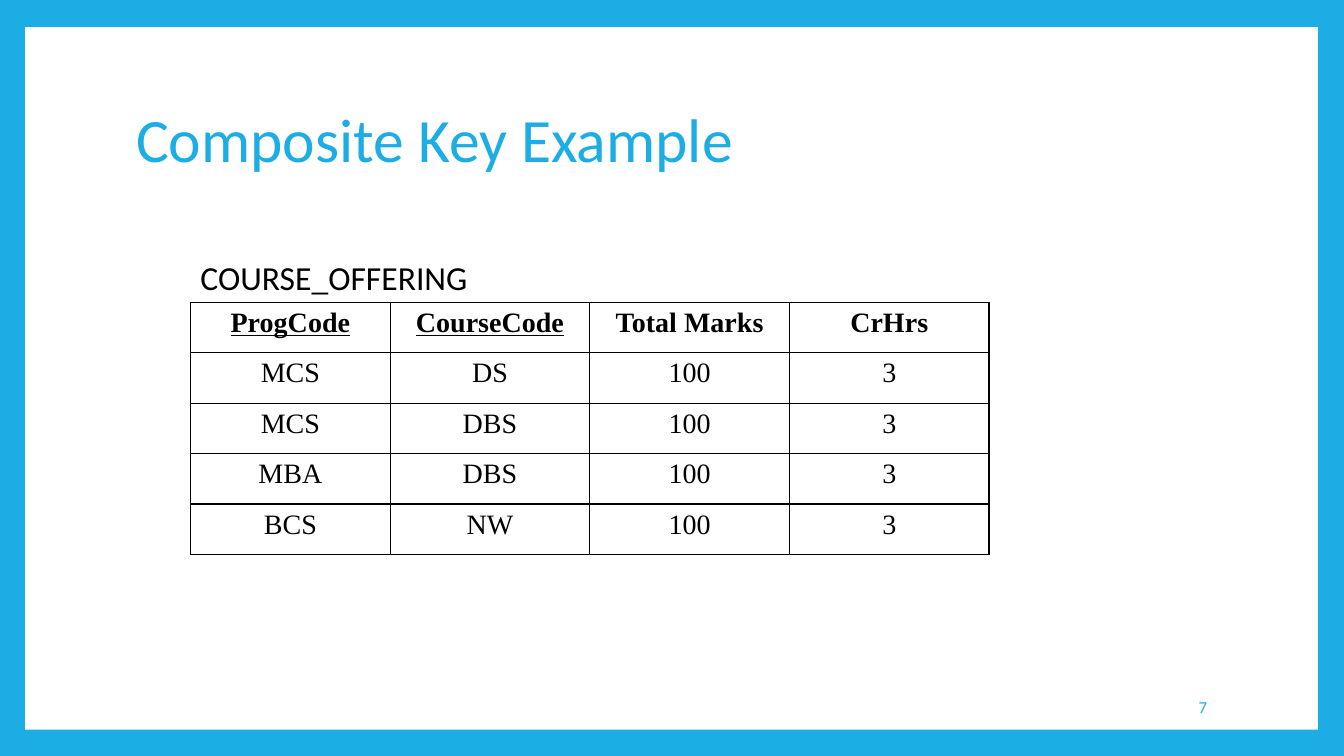
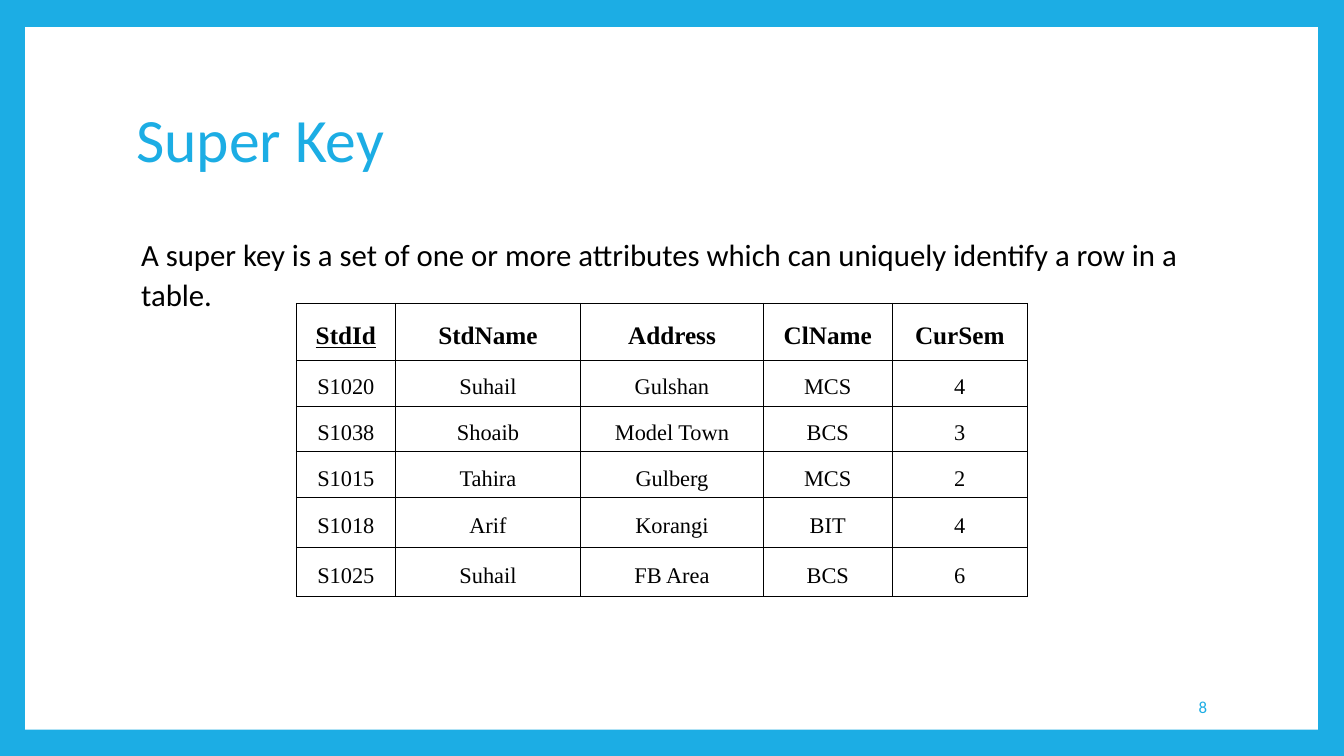
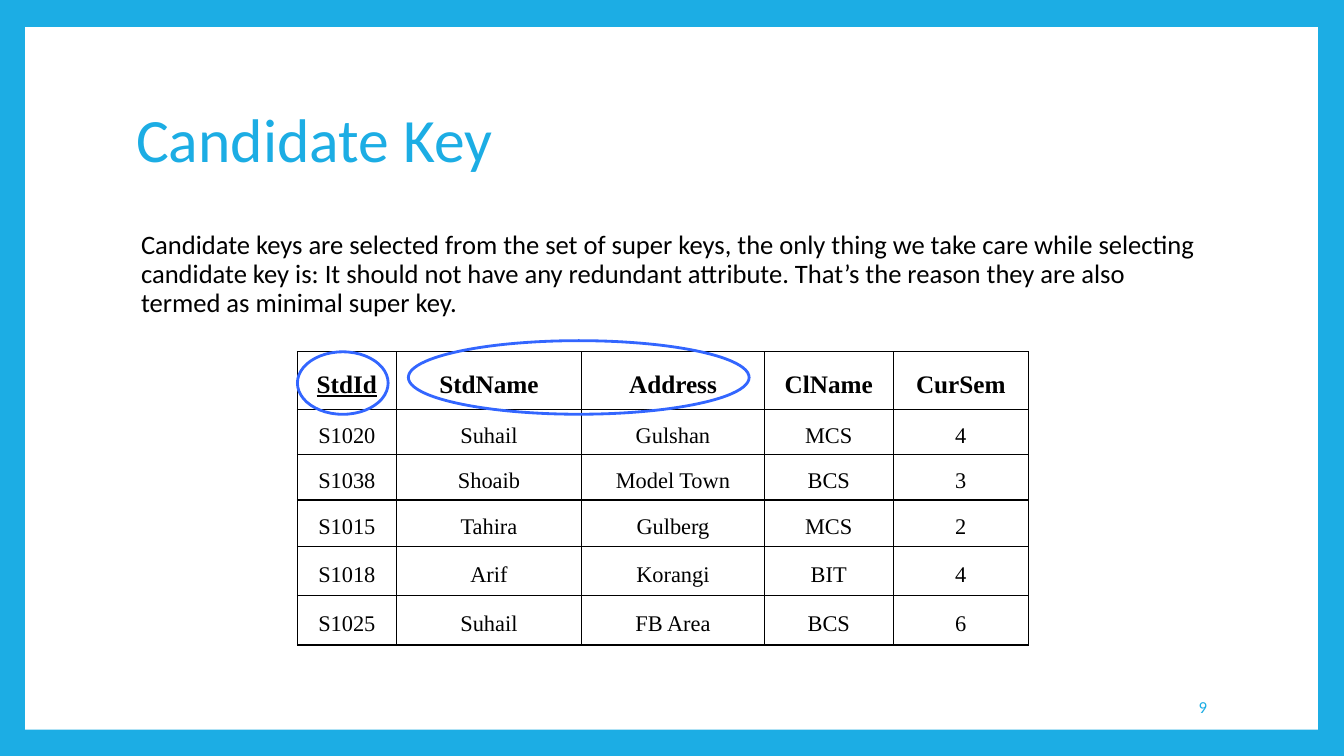
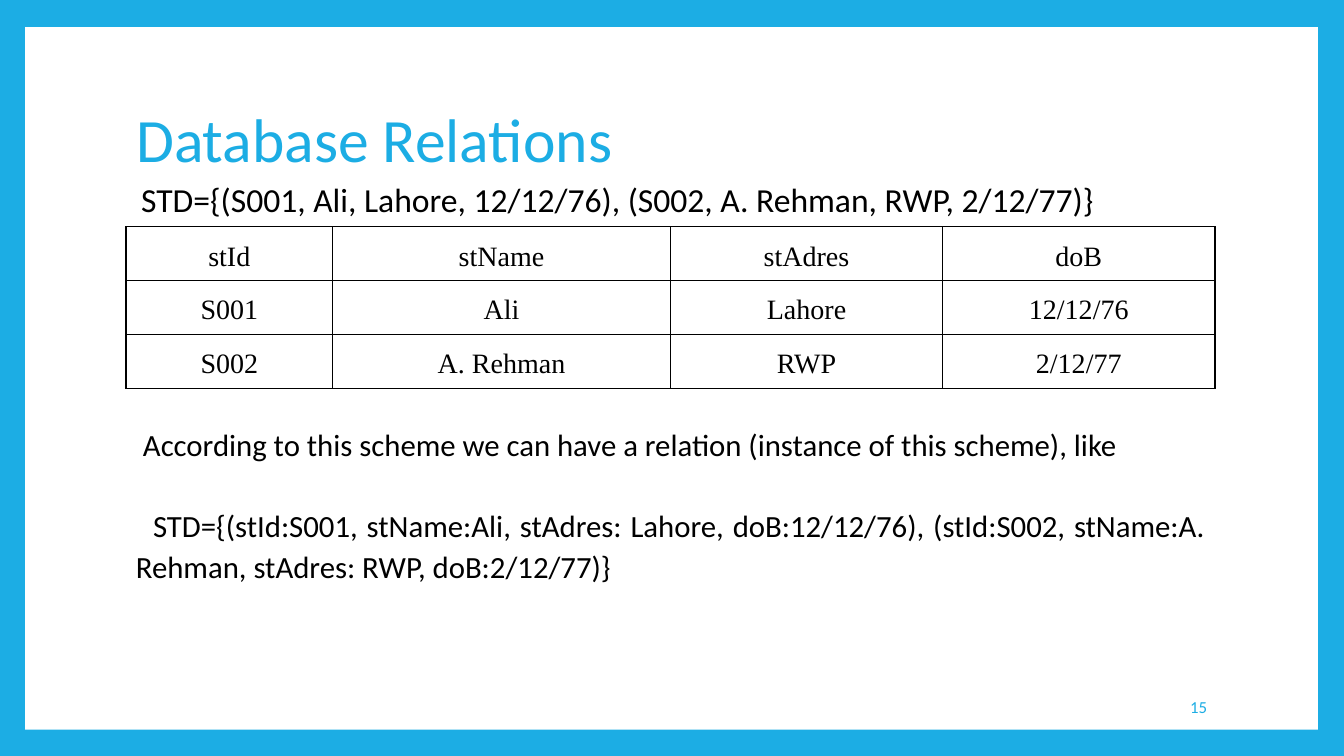
from lxml import etree
from pptx import Presentation
from pptx.dml.color import RGBColor
from pptx.enum.shapes import MSO_SHAPE
from pptx.enum.text import MSO_ANCHOR, MSO_AUTO_SIZE, PP_ALIGN
from pptx.oxml.ns import qn
from pptx.util import Inches, Pt

# Enum members
RECTANGLE, OVAL = MSO_SHAPE.RECTANGLE, MSO_SHAPE.OVAL
TOP, MIDDLE = MSO_ANCHOR.TOP, MSO_ANCHOR.MIDDLE
LEFT, CENTER = PP_ALIGN.LEFT, PP_ALIGN.CENTER
RIGHT, JUSTIFY = PP_ALIGN.RIGHT, PP_ALIGN.JUSTIFY
NO_AUTO_SIZE = MSO_AUTO_SIZE.NONE

# Colours and fonts
SKY = RGBColor(0x1C, 0xAD, 0xE4)
MARKER = RGBColor(0x33, 0x66, 0xFF)
BLACK = RGBColor(0, 0, 0)
WHITE = RGBColor(0xFF, 0xFF, 0xFF)
BODY_FONT = "Calibri"
TABLE_FONT = "Times New Roman"

# Shared column positions
MARGIN = 1.25
CONTENT_WIDTH = 10.8

# Table contents
COURSES = [
    ["ProgCode", "CourseCode", "Total Marks", "CrHrs"],
    ["MCS", "DS", "100", "3"],
    ["MCS", "DBS", "100", "3"],
    ["MBA", "DBS", "100", "3"],
    ["BCS", "NW", "100", "3"],
]
STUDENTS = [
    ["StdId", "StdName", "Address", "ClName", "CurSem"],
    ["S1020", "Suhail", "Gulshan", "MCS", "4"],
    ["S1038", "Shoaib", "Model Town", "BCS", "3"],
    ["S1015", "Tahira", "Gulberg", "MCS", "2"],
    ["S1018", "Arif", "Korangi", "BIT", "4"],
    ["S1025", "Suhail", "FB Area", "BCS", "6"],
]
RELATION = [
    ["stId", "stName", "stAdres", "doB"],
    ["S001", "Ali", "Lahore", "12/12/76"],
    ["S002", "A. Rehman", "RWP", "2/12/77"],
]


class Deck:
    """Holds the shared style and the slide being built."""

    def __init__(self):
        self.presentation = Presentation()
        self.presentation.slide_width = Inches(13.33)
        self.presentation.slide_height = Inches(7.5)
        background = self.presentation.slide_master.background.fill
        background.solid()
        background.fore_color.rgb = SKY
        self.slide = None

    def new_slide(self, title, number):
        layout = self.presentation.slide_layouts[5]
        self.slide = self.presentation.slides.add_slide(layout)
        self.shape(RECTANGLE, 0.25, 0.27, 12.82, 6.97, fill=WHITE)
        # Title, brought in front of the white panel
        placeholder = self.slide.shapes.title
        panel = self.slide.shapes[-1]
        panel.element.addnext(placeholder.element)
        placeholder.left, placeholder.top = Inches(MARGIN), Inches(0.67)
        placeholder.width, placeholder.height = Inches(CONTENT_WIDTH), Inches(1.48)
        frame = placeholder.text_frame
        frame.auto_size = NO_AUTO_SIZE
        frame.vertical_anchor = MIDDLE
        self.add_run(frame.paragraphs[0], title, 44, SKY, spacing=0.9)
        # Slide number
        self.text(10.2, 6.81, 1.87, 0.4, str(number), 12, SKY,
                  anchor=MIDDLE, align=RIGHT)

    def add_run(self, paragraph, text, size, color=BLACK, font=BODY_FONT,
                align=LEFT, spacing=1.0, bold=False, underline=False):
        paragraph.alignment = align
        paragraph.line_spacing = spacing
        run = paragraph.add_run()
        run.text = text
        run.font.name = font
        run.font.size = Pt(size)
        run.font.color.rgb = color
        run.font.bold = bold
        run.font.underline = underline

    def text(self, left, top, width, height, text, size, color=BLACK,
             anchor=TOP, inset=0.1, **style):
        box = self.slide.shapes.add_textbox(
            Inches(left), Inches(top), Inches(width), Inches(height))
        frame = box.text_frame
        frame.word_wrap = True
        frame.vertical_anchor = anchor
        frame.margin_left = Inches(inset)
        self.add_run(frame.paragraphs[0], text, size, color, **style)
        return frame

    def body(self, top, height, text, size, **style):
        return self.text(MARGIN, top, CONTENT_WIDTH, height, text, size,
                         inset=0.15, **style)

    def shape(self, kind, left, top, width, height, fill=None, line=None):
        shape = self.slide.shapes.add_shape(
            kind, Inches(left), Inches(top), Inches(width), Inches(height))
        shape.shadow.inherit = False
        if fill is None:
            shape.fill.background()
        else:
            shape.fill.solid()
            shape.fill.fore_color.rgb = fill
        if line is None:
            shape.line.fill.background()
        else:
            shape.line.color.rgb = line
            shape.line.width = Pt(2)

    def border(self, cell):
        properties = cell._tc.get_or_add_tcPr()
        for side in ("a:lnL", "a:lnR", "a:lnT", "a:lnB"):
            line = etree.SubElement(properties, qn(side), w=str(Pt(1)))
            fill = etree.SubElement(line, qn("a:solidFill"))
            etree.SubElement(fill, qn("a:srgbClr"), val=str(BLACK))

    def table(self, left, top, widths, heights, rows, size, header_size,
              keys=0, bold_header=True, anchor=TOP, spacing=1.0):
        """Draw a ruled table; the first `keys` headings are underlined."""
        table = self.slide.shapes.add_table(
            len(rows), len(widths), Inches(left), Inches(top),
            Inches(sum(widths)), Inches(sum(heights))).table
        table.first_row = table.horz_banding = False
        for column, width in zip(table.columns, widths):
            column.width = Inches(width)
        for row, height in zip(table.rows, heights):
            row.height = Inches(height)
        for i, values in enumerate(rows):
            header = i == 0
            for j, value in enumerate(values):
                cell = table.cell(i, j)
                cell.vertical_anchor = anchor
                self.border(cell)
                cell.fill.background()
                self.add_run(cell.text_frame.paragraphs[0], value,
                             header_size if header else size,
                             font=TABLE_FONT, align=CENTER, spacing=spacing,
                             bold=header and bold_header,
                             underline=header and j < keys)

    def student_table(self, left, top):
        self.table(left, top, [0.98, 1.84, 1.81, 1.28, 1.34],
                   [0.57, 0.45, 0.45, 0.46, 0.49, 0.49], STUDENTS, 16, 18,
                   keys=1, anchor=MIDDLE, spacing=1.3)


def main():
    deck = Deck()

    # Composite key
    deck.new_slide("Composite Key Example", 7)
    deck.table(1.89, 3, [1.98] * 4, [0.5] * 5, COURSES, 20, 20, keys=2)
    deck.text(1.89, 2.5, 3.17, 0.5, "COURSE_OFFERING", 24)

    # Super key
    deck.new_slide("Super Key", 8)
    deck.body(2.25, 4.42, "A super key is a set of one or more attributes which "
              "can uniquely identify a row in a table.", 22, spacing=1.1)
    deck.student_table(2.94, 3.01)

    # Candidate key, with the candidates circled
    deck.new_slide("Candidate Key", 9)
    deck.body(2.25, 4.42, "Candidate keys are selected from the set of super keys, "
              "the only thing we take care while selecting candidate key is: "
              "It should not have any redundant attribute. That’s the reason "
              "they are also termed as minimal super key.", 19, spacing=0.9)
    deck.student_table(2.95, 3.49)
    deck.shape(OVAL, 4.05, 3.38, 3.38, 0.73, line=MARKER)
    deck.shape(OVAL, 2.95, 3.49, 0.9, 0.62, line=MARKER)

    # Database relations
    deck.new_slide("Database Relations", 15)
    deck.table(MARGIN, 2.25, [2.05, 3.35, 2.7, 2.7], [0.51] * 3, RELATION, 20, 20,
               bold_header=False, spacing=1.3)
    deck.body(1.77, 1.92, "STD={(S001, Ali, Lahore, 12/12/76), "
              "(S002, A. Rehman, RWP, 2/12/77)}", 24, align=JUSTIFY, spacing=0.9)
    frame = deck.text(MARGIN, 4.14, CONTENT_WIDTH, 1.73,
                      "According to this scheme we can have a relation "
                      "(instance of this scheme), like", 22, spacing=1.1)
    instance = frame.add_paragraph()
    instance.space_before = Pt(29)
    deck.add_run(instance, "STD={(stId:S001, stName:Ali, stAdres: Lahore, "
                 "doB:12/12/76), (stId:S002, stName:A. Rehman, stAdres: RWP, "
                 "doB:2/12/77)}", 22, align=JUSTIFY, spacing=1.1)
    # First-line indents
    for paragraph, indent in zip(frame.paragraphs, (0.07, 0.17)):
        paragraph._p.get_or_add_pPr().set("indent", str(Inches(indent)))

    deck.presentation.save("out.pptx")


if __name__ == "__main__":
    main()
